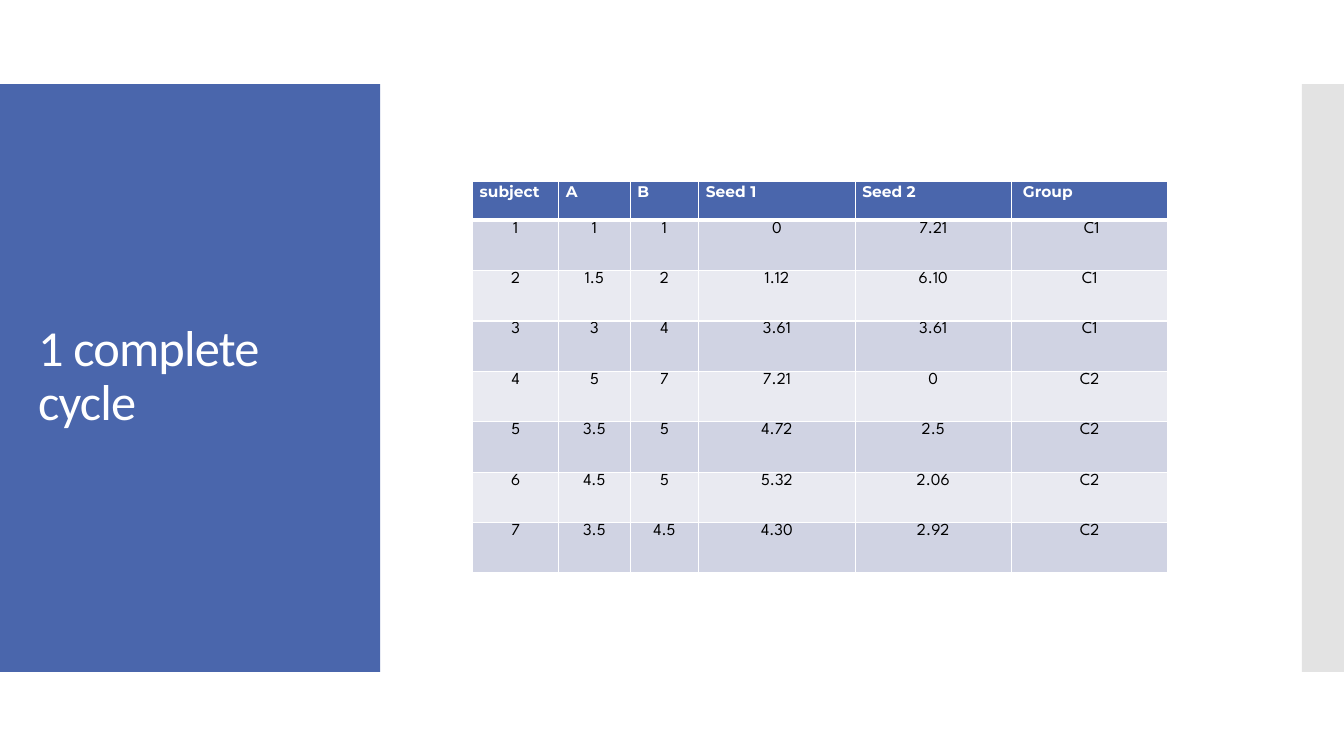
"""Build the slide showing one complete clustering cycle."""
from dataclasses import dataclass

from lxml import etree
from pptx import Presentation
from pptx import util as u
from pptx.dml.color import RGBColor
from pptx.enum import shapes, text
from pptx.oxml.ns import qn

COLORS = {
    "blue": "4A66AC",
    "gray": "C8C8C8",
    "white": "FFFFFF",
    "black": "000000",
    "odd_row": "D0D3E3",
    "even_row": "E9EAF1",
}
COLUMN_WIDTHS = [2.17, 1.8, 1.73, 3.94, 3.94, 3.94]
HEADER_HEIGHT, ROW_HEIGHT = 0.98, 1.27
ROWS = [
    ["subject", "A", "B", "Seed 1", "Seed 2", " Group"],
    ["1", "1", "1", "0", "7.21", " C1"],
    ["2", "1.5", "2", "1.12", "6.10", "C1"],
    ["3", "3", "4", "3.61", "3.61", "C1"],
    ["4", "5", "7", "7.21", "0", "C2"],
    ["5", "3.5", "5", "4.72", "2.5", "C2"],
    ["6", "4.5", "5", "5.32", "2.06", "C2"],
    ["7", "3.5", "4.5", "4.30", "2.92", "C2"],
]


@dataclass
class Panel:
    left: float
    width: float
    color: str
    opacity: int = 100


@dataclass
class RowStyle:
    fill: str
    font: str
    size: int
    color: str
    bold: bool
    alignment: text.PP_ALIGN
    top_border: int = 1
    bottom_border: int = 1


PANELS = [Panel(0, 9.58, "blue"), Panel(32.81, 1.06, "gray", 50)]


def rgb(name: str) -> RGBColor:
    return RGBColor.from_string(COLORS[name])


def draw_panel(slide, panel: Panel) -> None:
    shape = slide.shapes.add_shape(
        shapes.MSO_SHAPE.RECTANGLE,
        u.Cm(panel.left), u.Cm(2.12), u.Cm(panel.width), u.Cm(14.81))
    shape.shadow.inherit = False
    shape.line.fill.background()
    shape.fill.solid()
    shape.fill.fore_color.rgb = rgb(panel.color)
    if panel.opacity < 100:
        color = shape._element.spPr.find(qn("a:solidFill"))[0]
        etree.SubElement(color, qn("a:alpha"), val=str(panel.opacity * 1000))


def add_run(paragraph, content: str, font: str, size: int, color: str, bold: bool = False):
    run = paragraph.add_run()
    run.text = content
    run.font.name = font
    run.font.size = u.Pt(size)
    run.font.bold = bold
    run.font.color.rgb = rgb(color)
    return run


def draw_title(slide) -> None:
    box = slide.shapes.add_textbox(u.Cm(0.71), u.Cm(3.12), u.Cm(8.18), u.Cm(12.78))
    frame = box.text_frame
    frame.word_wrap = True
    frame.vertical_anchor = text.MSO_ANCHOR.MIDDLE
    paragraph = frame.paragraphs[0]
    paragraph.line_spacing = 0.9
    run = add_run(paragraph, "1 complete cycle", "Calibri", 36, "white")
    run.font._element.set("spc", "-60")


def row_style(index: int) -> RowStyle:
    if index == 0:
        return RowStyle("blue", "Montserrat", 11, "white", True,
                        text.PP_ALIGN.LEFT, bottom_border=3)
    return RowStyle("odd_row" if index % 2 else "even_row", "League Spartan", 12,
                    "black", False, text.PP_ALIGN.CENTER,
                    top_border=3 if index == 1 else 1)


def set_borders(cell, style: RowStyle) -> None:
    properties = cell._tc.get_or_add_tcPr()
    widths = {"L": 1, "R": 1, "T": style.top_border, "B": style.bottom_border}
    for side, width in widths.items():
        line = etree.SubElement(properties, qn(f"a:ln{side}"), w=str(u.Pt(width)))
        fill = etree.SubElement(line, qn("a:solidFill"))
        etree.SubElement(fill, qn("a:srgbClr"), val=COLORS["white"])


def fill_cell(cell, content: str, style: RowStyle, space_after: int) -> None:
    cell.margin_left = cell.margin_right = u.Cm(0.18)
    cell.margin_top = cell.margin_bottom = 0
    set_borders(cell, style)
    cell.fill.solid()
    cell.fill.fore_color.rgb = rgb(style.fill)
    paragraph = cell.text_frame.paragraphs[0]
    paragraph.alignment = style.alignment
    paragraph.line_spacing = 1.07
    paragraph.space_after = u.Pt(space_after)
    add_run(paragraph, content, style.font, style.size, style.color, style.bold)


def draw_table(slide) -> None:
    heights = [HEADER_HEIGHT] + [ROW_HEIGHT] * (len(ROWS) - 1)
    table = slide.shapes.add_table(
        len(ROWS), len(COLUMN_WIDTHS), u.Cm(11.91), u.Cm(4.57),
        u.Cm(sum(COLUMN_WIDTHS)), u.Cm(sum(heights))).table
    table.horz_banding = False
    for column, width in zip(table.columns, COLUMN_WIDTHS):
        column.width = u.Cm(width)
    for row_index, (values, height) in enumerate(zip(ROWS, heights)):
        table.rows[row_index].height = u.Cm(height)
        style = row_style(row_index)
        for column_index, value in enumerate(values):
            space_after = 0 if column_index == len(values) - 1 else 8
            fill_cell(table.cell(row_index, column_index), value, style, space_after)


def main() -> None:
    presentation = Presentation()
    presentation.slide_width = u.Cm(33.87)
    presentation.slide_height = u.Cm(19.05)
    slide = presentation.slides.add_slide(presentation.slide_layouts[6])
    for panel in PANELS:
        draw_panel(slide, panel)
    draw_title(slide)
    draw_table(slide)
    presentation.save("out.pptx")


if __name__ == "__main__":
    main()
